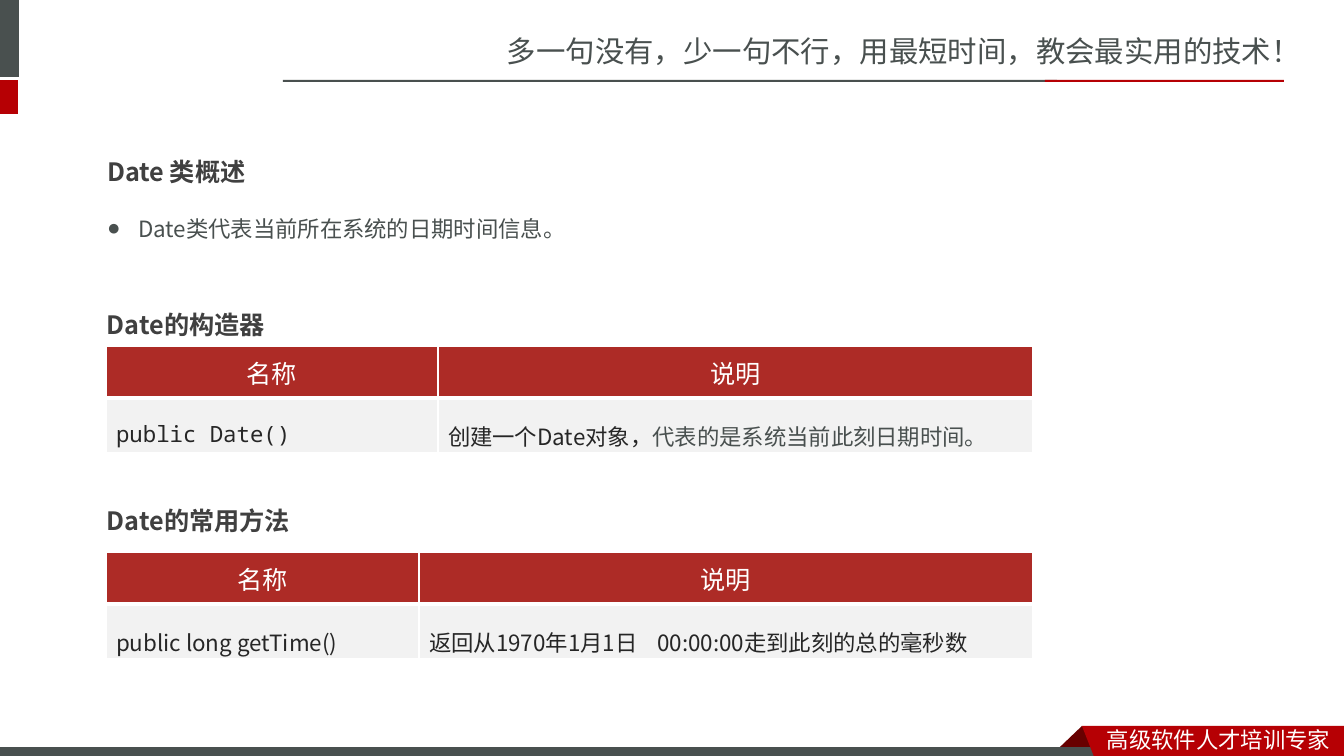
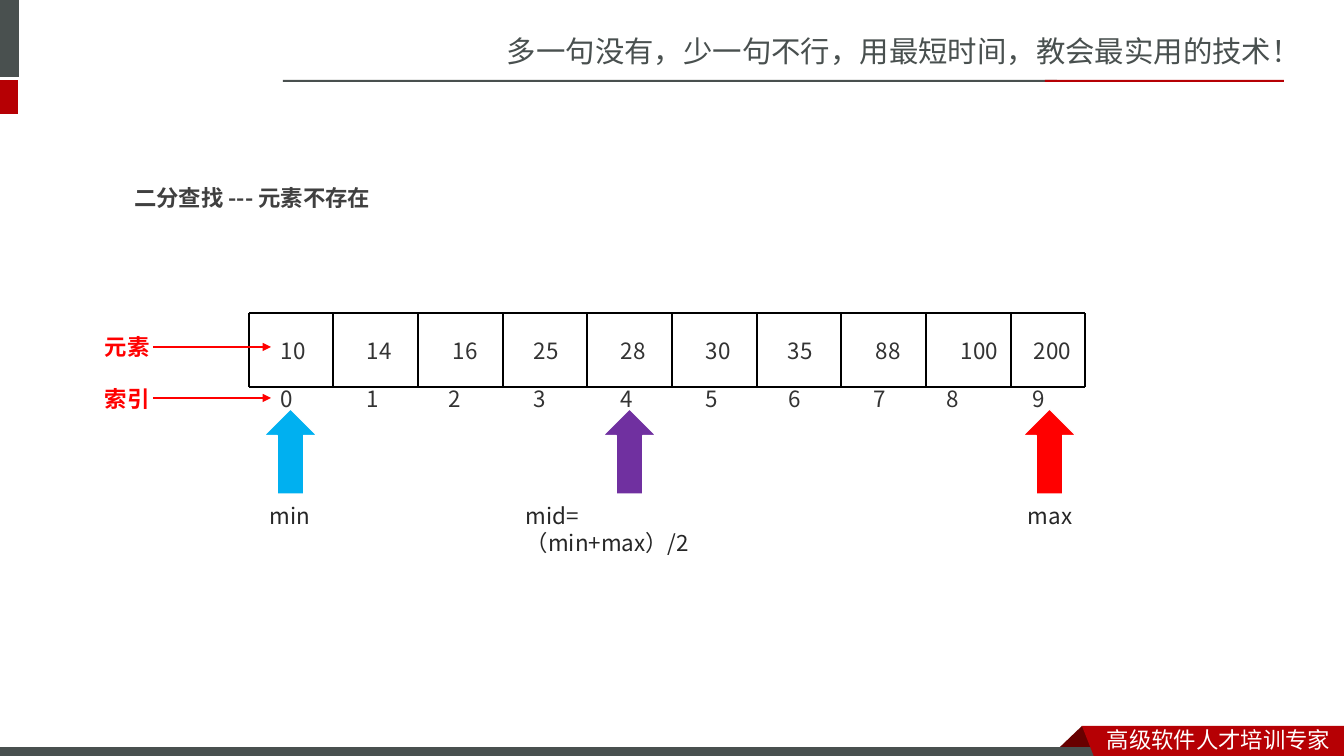
from lxml.etree import SubElement
from pptx import Presentation
from pptx.dml.color import RGBColor
from pptx.enum.shapes import MSO_CONNECTOR, MSO_SHAPE
from pptx.enum.text import MSO_ANCHOR, MSO_AUTO_SIZE, PP_ALIGN
from pptx.oxml.ns import qn
from pptx.util import Emu, Pt

PX = 914400 / 100.8
COLOURS = {
    "slate": "49504F", "crimson": "B60004", "maroon": "680000", "white": "FFFFFF",
    "heading": "404040", "text": "262626", "number": "333333", "black": "000000",
    "header": "AD2B26", "row": "F2F2F2",
    "blue": "00B0F0", "purple": "7030A0", "red": "FF0000",
}
COLOURS = {name: RGBColor.from_string(value) for name, value in COLOURS.items()}
SC, JP = "Noto Sans CJK SC", "Noto Sans CJK JP"


def px(*lengths):
    """Turn pixel lengths into EMU."""
    return [Emu(round(length * PX)) for length in lengths]


def style(text_frame, size, font, colour, bold=False, spacing=1.0):
    """Format the only paragraph of a text frame, East Asian letters included."""
    text_frame.word_wrap = True
    paragraph = text_frame.paragraphs[0]
    paragraph.alignment = PP_ALIGN.LEFT
    paragraph.line_spacing = spacing
    paragraph.space_before = Pt(0)
    for run in paragraph.runs:
        run.font.size, run.font.bold, run.font.name = Pt(size), bold, font
        run.font.color.rgb = COLOURS[colour]
        SubElement(run.font._element, qn("a:ea")).set("typeface", font)
    return paragraph


presentation = Presentation()
presentation.slide_width, presentation.slide_height = px(1344, 756)
date_slide = presentation.slides.add_slide(presentation.slide_layouts[1])
search_slide = presentation.slides.add_slide(presentation.slide_layouts[5])

# Shared decoration, drawn once and moved to the slide master
decoration = []
for *box, colour in [
    (-6, 0, 25, 77, "slate"),
    (-6, 80, 24, 34, "crimson"),
    (283, 80, 774, 2, "slate"),
    (1045, 80, 239, 2, "crimson"),
    (-1, 747, 1109, 12, "slate"),
]:
    band = date_slide.shapes.add_shape(MSO_SHAPE.RECTANGLE, *px(*box))
    decoration.append((band, colour))

for points, colour in [
    ([(1082, 726), (1103, 747), (1060, 747)], "maroon"),
    ([(1082, 726), (1344, 726), (1344, 760), (1095, 759)], "crimson"),
]:
    builder = date_slide.shapes.build_freeform(*points[0], scale=PX)
    builder.add_line_segments(points[1:], close=True)
    decoration.append((builder.convert_to_shape(), colour))

for shape, colour in decoration:
    shape.shadow.inherit = False
    shape.fill.solid()
    shape.fill.fore_color.rgb = COLOURS[colour]
    shape.line.fill.background()
footer_bar = decoration[4][0]
footer_bar.line.color.rgb = COLOURS["white"]
footer_bar.line.width = Pt(0.75)

master_shapes = [shape for shape, colour in decoration]
for text, box, size, colour in [
    ("多一句没有，少一句不行，用最短时间，教会最实用的技术！", (497, 28, 847, 47), 21, "slate"),
    ("高级软件人才培训专家", (1097, 721, 247, 37), 16, "white"),
]:
    slogan = date_slide.shapes.add_textbox(*px(*box))
    slogan.text_frame.text = text
    style(slogan.text_frame, size, SC, colour)
    master_shapes.append(slogan)

for number, shape in enumerate(master_shapes, start=101):
    shape.element.nvSpPr.cNvPr.set("id", str(number))
    presentation.slide_master.shapes.element.append(shape.element)

# Titles and body text
for slide, text, box, size, font, spacing in [
    (date_slide, "Date 类概述", (97, 121, 516, 64), 18, JP, 2.0),
    (search_slide, "二分查找 --- 元素不存在", (124, 166, 516, 46), 16, SC, 1.5),
]:
    title = slide.shapes.title
    title.left, title.top, title.width, title.height = px(*box)
    title.text_frame.text = text
    title.text_frame.auto_size = MSO_AUTO_SIZE.NONE
    title.text_frame.vertical_anchor = MSO_ANCHOR.TOP
    style(title.text_frame, size, font, "heading", True, spacing)

body = date_slide.placeholders[1]
body.left, body.top, body.width, body.height = px(97, 183, 731, 57)
body.text_frame.text = "Date类代表当前所在系统的日期时间信息。"
body.text_frame.auto_size = MSO_AUTO_SIZE.NONE
paragraph = style(body.text_frame, 16, JP, "slate", spacing=2.0)
properties = paragraph._p.get_or_add_pPr()
indent = px(31)[0]
properties.set("marL", str(indent))
properties.set("indent", str(-indent))
SubElement(properties, qn("a:buChar")).set("char", "●")

# Slide 1: each heading with its table; later parts of a cell are grey
for heading, heading_top, table_top, widths, entries in [
    ("Date的构造器", 274, 346, (332, 595), [
        (["public Date()"], "Noto Sans Mono"),
        (["创建一个Date对象，", "代表的是系统当前此刻日期时间。"], SC),
    ]),
    ("Date的常用方法", 470, 552, (313, 614), [
        (["public long getTime()"], SC),
        (["返回从1970年1月1日    00:00:00走到此刻的总的毫秒数"], JP),
    ]),
]:
    heading_box = date_slide.shapes.add_textbox(*px(97, heading_top, 672, 64))
    heading_box.text_frame.text = heading
    style(heading_box.text_frame, 18, JP, "heading", True, 2.0)

    frame = date_slide.shapes.add_table(2, 2, *px(106, table_top, sum(widths), 107))
    table = frame.table
    for column, width in zip(table.columns, px(*widths)):
        column.width = width
    for row, height in zip(table.rows, px(52, 55)):
        row.height = height

    header = [(["名称"], "Lato"), (["说明"], "Lato")]
    for row_index, row_entries in enumerate([header, entries]):
        is_header = row_index == 0
        for column_index, (parts, font) in enumerate(row_entries):
            cell = table.cell(row_index, column_index)
            cell.vertical_anchor = MSO_ANCHOR.MIDDLE
            cell.fill.solid()
            cell.fill.fore_color.rgb = COLOURS["header" if is_header else "row"]
            paragraph = cell.text_frame.paragraphs[0]
            paragraph.text = parts[0]
            for part in parts[1:]:
                paragraph.add_run().text = part
            if is_header:
                style(cell.text_frame, 18, font, "white", spacing=Pt(24))
                paragraph.alignment = PP_ALIGN.CENTER
            else:
                style(cell.text_frame, 16, font, "text", spacing=1.5)
            for run in paragraph.runs[1:]:
                run.font.color.rgb = COLOURS["slate"]

            cell_properties = cell._tc.get_or_add_tcPr()
            thick_side = "a:lnB" if is_header else "a:lnT"
            for position, side in enumerate(["a:lnL", "a:lnR", "a:lnT", "a:lnB"]):
                border = SubElement(cell_properties, qn(side))
                border.set("w", str(Pt(3 if side == thick_side else 1)))
                fill = SubElement(border, qn("a:solidFill"))
                SubElement(fill, qn("a:srgbClr")).set("val", str(COLOURS["white"]))
                cell_properties.insert(position, border)

# Slide 2: pointer arrows under the array
for left, colour in [(264, "blue"), (603, "purple"), (1023, "red")]:
    pointer = search_slide.shapes.add_shape(MSO_SHAPE.UP_ARROW, *px(left, 409, 53, 85))
    pointer.shadow.inherit = False
    pointer.fill.solid()
    pointer.fill.fore_color.rgb = COLOURS[colour]
    pointer.line.color.rgb = COLOURS["white"]
    pointer.line.width = Pt(1)

# Array grid and the arrows from its row labels
LEFT, RIGHT, TOP, BOTTOM = 249, 1085, 313, 387
dividers = [LEFT + 254 * index // 3 for index in range(10)] + [RIGHT]
lines = [(LEFT, y, RIGHT, y, "black", 2) for y in (TOP, BOTTOM)]
lines += [(x, TOP, x, BOTTOM, "black", 2) for x in dividers]
lines += [(153, y, 271, y, "red", 1.5) for y in (347, 398)]
for *ends, colour, width in lines:
    connector = search_slide.shapes.add_connector(MSO_CONNECTOR.STRAIGHT, *px(*ends))
    connector.line.color.rgb = COLOURS[colour]
    connector.line.width = Pt(width)
    if colour == "red":
        SubElement(connector.get_or_add_ln(), qn("a:tailEnd")).set("type", "triangle")
    SubElement(connector.element.spPr, qn("a:effectLst"))

# Elements, indexes, row labels and pointer names
elements = [10, 14, 16, 25, 28, 30, 35, 88, 100, 200]
element_lefts = [271, 357, 443, 524, 611, 696, 778, 866, 951, 1024]
index_lefts = [271, 357, 439, 524, 611, 696, 779, 864, 937, 1023]
labels = [(str(element), left, 332, "number")
          for element, left in zip(elements, element_lefts)]
labels += [(str(index), left, 380, "number") for index, left in enumerate(index_lefts)]
labels += [
    ("元素", 95, 328, "red"),
    ("索引", 95, 380, "red"),
    ("min", 260, 497, "text"),
    ("mid=（min+max）/2", 516, 497, "text"),
    ("max", 1018, 497, "text"),
]
for text, left, top, colour in labels:
    width = 220 if text.startswith("mid") else 80
    label = search_slide.shapes.add_textbox(*px(left, top, width, 37))
    label.text_frame.text = text
    style(label.text_frame, 16, SC, colour, bold=colour == "red")

presentation.save("out.pptx")
